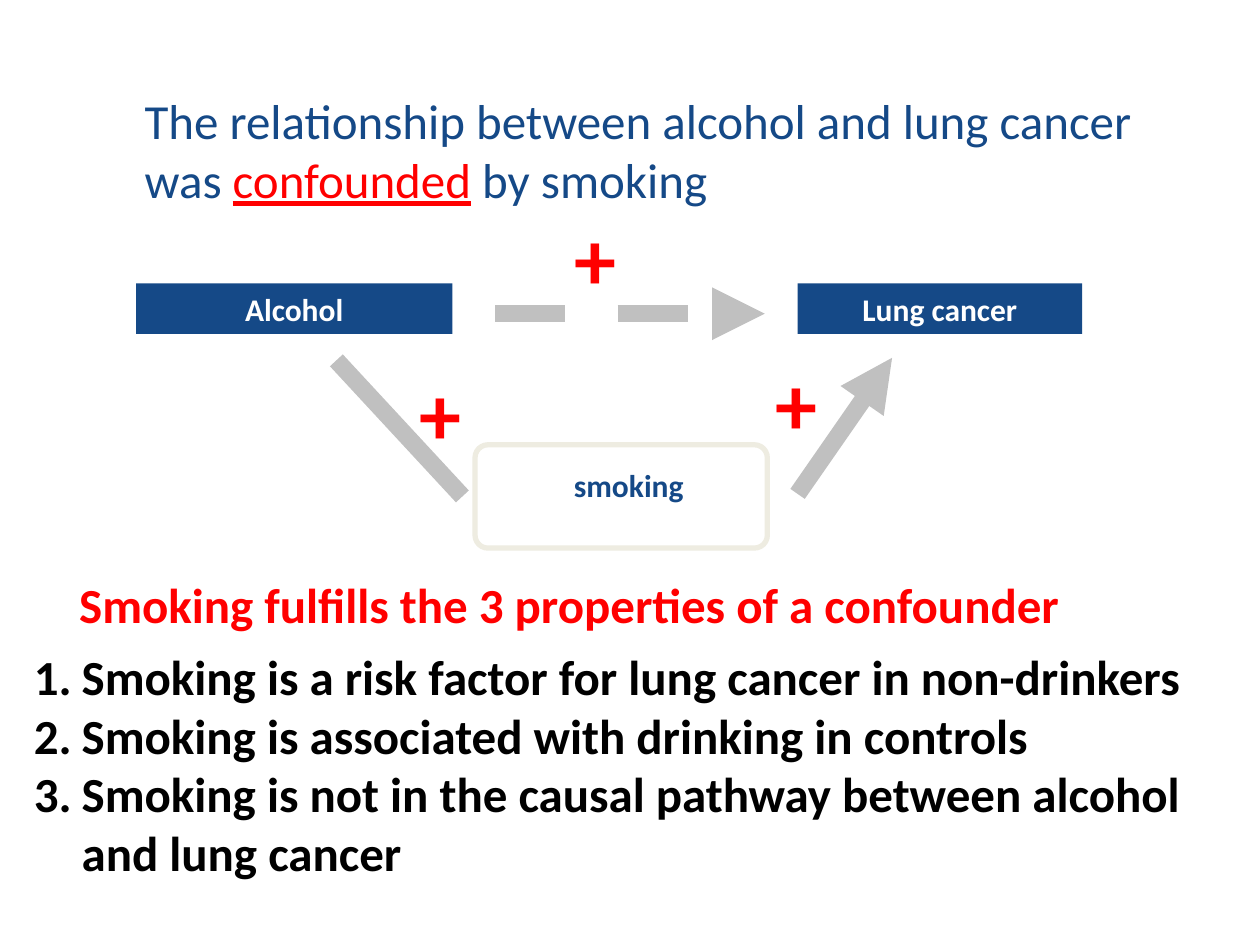
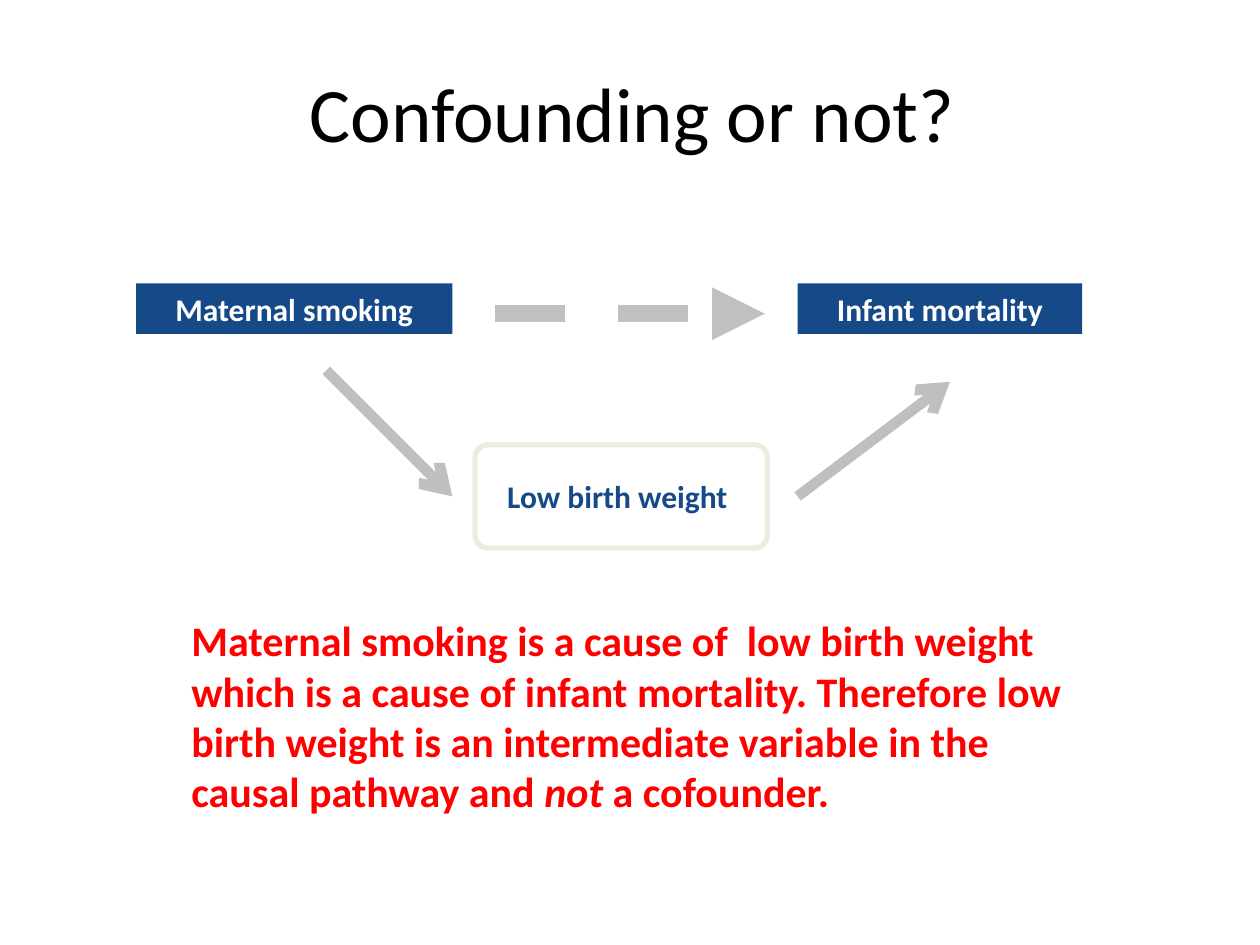
"""Build two slides on confounding, each with a three-node causal diagram."""
import pptx
import pptx.dml.color
import pptx.enum.dml
import pptx.enum.shapes
import pptx.enum.text
import pptx.oxml.ns
import pptx.util
from lxml import etree

PX = 9144
FONT = "Calibri"
BLUE, RED, BLACK, WHITE = "154987", "FF0000", "000000", "FFFFFF"
GRAY, MID_GRAY, CREAM = "C0C0C0", "BFBFBF", "EEECE1"
CENTER = pptx.enum.text.PP_ALIGN.CENTER
MIDDLE = pptx.enum.text.MSO_ANCHOR.MIDDLE
SHAPES = pptx.enum.shapes.MSO_SHAPE

EXPOSURE_BOX = (108, 225, 251, 40)
OUTCOME_BOX = (633, 225, 226, 40)
THIRD_BOX = (377, 353, 232, 82)
DASHED_ARROW = (393, 249, 607, 249)
PLUS_SIZE = (54, 91)

ALCOHOL = {
    "exposure": "Alcohol",
    "outcome": "Lung cancer",
    "third": ("smoking", (400, 365, 198, 40)),
    "links": [
        ((633, 392, 708, 284), GRAY, 10, "triangle"),
        ((367, 394, 267, 286), GRAY, 10, None),
    ],
    "pluses": [(323, 282), (606, 274), (446, 159)],
    "texts": [
        {"box": (105, 67, 826, 104), "size": 28, "color": BLUE, "paragraphs": [[
            ("The relationship between alcohol and lung cancer was ", {}),
            ("confounded", {"color": RED, "underline": True}),
            (" by smoking", {}),
        ]]},
        {"box": (53, 451, 855, 57), "size": 28, "color": RED, "bold": True, "paragraphs": [
            [("Smoking fulfills the 3 properties of a confounder", {})],
        ]},
        {"box": (17, 508, 982, 246), "size": 28, "color": BLACK, "bold": True,
         "numbered": True, "paragraphs": [
            [("Smoking is a risk factor for lung cancer in non-drinkers", {})],
            [("Smoking is associated with drinking in controls", {})],
            [("Smoking is not in the causal pathway between alcohol and lung cancer", {})],
        ]},
    ],
}

BIRTH_WEIGHT = {
    "exposure": "Maternal smoking",
    "outcome": "Infant mortality",
    "third": ("Low birth weight", (391, 374, 198, 40)),
    "links": [
        ((259, 294, 359, 394), MID_GRAY, 6, "arrow"),
        ((633, 394, 754, 303), MID_GRAY, 6, "arrow"),
    ],
    "pluses": [],
    "texts": [
        {"box": (52, 26, 900, 125), "size": 44, "color": BLACK, "align": CENTER,
         "anchor": MIDDLE, "paragraphs": [[("Confounding or not?", {})]]},
        {"box": (142, 483, 717, 172), "size": 24, "color": RED, "bold": True, "paragraphs": [[
            ("Maternal smoking is a cause of  low birth weight which is a cause of infant "
             "mortality. Therefore low birth weight is an intermediate variable in the "
             "causal pathway and ", {}),
            ("not", {"italic": True}),
            (" a cofounder.", {}),
        ]]},
    ],
}


def emu(lengths):
    return [n * PX for n in lengths]


def rgb(color):
    return pptx.dml.color.RGBColor.from_string(color)


def add_number(p):
    pPr = p._p.get_or_add_pPr()
    pPr.set("marL", str(38 * PX))
    pPr.set("indent", str(-38 * PX))
    etree.SubElement(pPr, pptx.oxml.ns.qn("a:buAutoNum"), type="arabicPeriod")


def write(tf, paragraphs, size, color, bold=False, align=None, anchor=None,
          numbered=False, wrap=True):
    tf.word_wrap = wrap
    tf.vertical_anchor = anchor or pptx.enum.text.MSO_ANCHOR.TOP
    for i, runs in enumerate(paragraphs):
        p = tf.add_paragraph() if i else tf.paragraphs[0]
        p.alignment = align
        if numbered:
            add_number(p)
        for text, style in runs:
            r = p.add_run()
            r.text = text
            r.font.name = FONT
            r.font.size = pptx.util.Pt(size)
            r.font.bold = bold
            r.font.italic = style.get("italic")
            r.font.underline = style.get("underline")
            r.font.color.rgb = rgb(style.get("color", color))


def add_text(s, box, **style):
    write(s.shapes.add_textbox(*emu(box)).text_frame, **style)


def add_label_box(s, box, label):
    sp = s.shapes.add_shape(SHAPES.RECTANGLE, *emu(box))
    sp.shadow.inherit = False
    sp.fill.solid()
    sp.fill.fore_color.rgb = rgb(BLUE)
    sp.line.fill.background()
    write(sp.text_frame, [[(label, {})]], 18, WHITE, bold=True, align=CENTER)


def add_third_box(s, label, label_box):
    sp = s.shapes.add_shape(SHAPES.ROUNDED_RECTANGLE, *emu(THIRD_BOX))
    sp.shadow.inherit = False
    sp.adjustments[0] = 0.125
    sp.fill.background()
    sp.line.color.rgb = rgb(CREAM)
    sp.line.width = pptx.util.Pt(3)
    add_text(s, label_box, paragraphs=[[(label, {})]], size=18, color=BLUE,
             bold=True, align=CENTER)


def add_link(s, ends, color, width, head=None, dashed=False):
    cn = s.shapes.add_connector(pptx.enum.shapes.MSO_CONNECTOR.STRAIGHT, *emu(ends))
    cn.line.color.rgb = rgb(color)
    cn.line.width = pptx.util.Pt(width)
    if dashed:
        cn.line.dash_style = pptx.enum.dml.MSO_LINE.DASH
    if head:
        etree.SubElement(cn.line._get_or_add_ln(), pptx.oxml.ns.qn("a:tailEnd"), type=head)
    etree.SubElement(cn._element.spPr, pptx.oxml.ns.qn("a:effectLst"))


def add_diagram_slide(prs, content):
    s = prs.slides.add_slide(prs.slide_layouts[6])
    add_label_box(s, EXPOSURE_BOX, content["exposure"])
    add_label_box(s, OUTCOME_BOX, content["outcome"])
    add_link(s, DASHED_ARROW, GRAY, 10, "triangle", dashed=True)
    add_third_box(s, *content["third"])
    for link in content["links"]:
        add_link(s, *link)
    for text in content["texts"]:
        add_text(s, **text)
    for corner in content["pluses"]:
        add_text(s, corner + PLUS_SIZE, paragraphs=[[("+", {})]], size=48, color=RED,
                 bold=True, wrap=False)


def main():
    prs = pptx.Presentation()
    prs.slide_width, prs.slide_height = emu((1000, 750))
    for content in (ALCOHOL, BIRTH_WEIGHT):
        add_diagram_slide(prs, content)
    prs.save("out.pptx")


if __name__ == "__main__":
    main()
